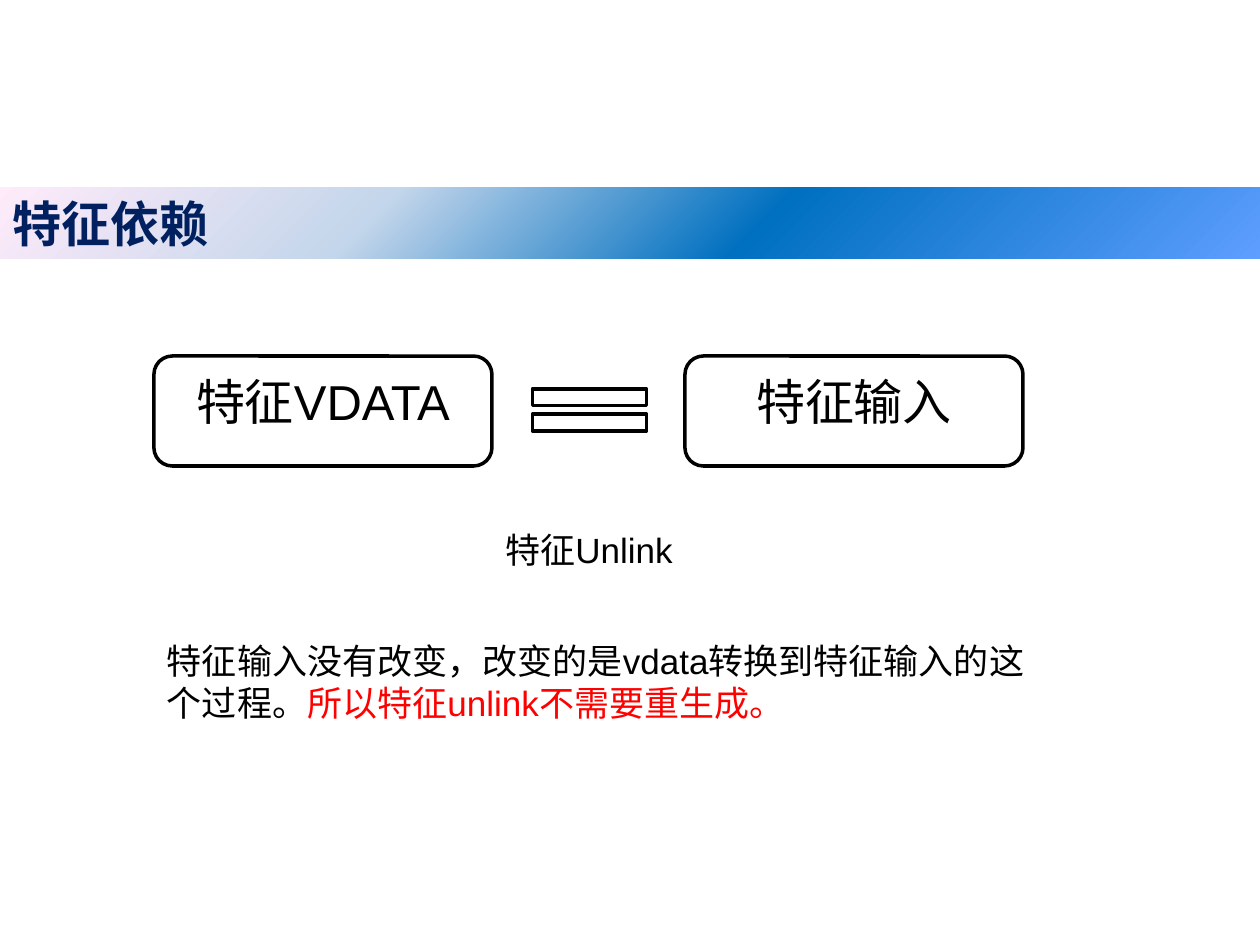
from dataclasses import dataclass

from lxml import etree
from pptx import Presentation
from pptx import util as u
from pptx.dml.color import RGBColor
from pptx.enum import shapes, text
from pptx.oxml import ns

PX = u.Inches(1) / 126
COLORS = {
    "paper": "FFFFFF", "ink": "000000", "navy": "002060", "alert": "FF0000",
    "sky": "5E9EFF", "blue": "0070C0", "mist": "C4D6EB", "blush": "FFEBFA",
}
BAND_STOPS = [(0, "sky"), (40, "blue"), (70, "mist"), (100, "blush")]
CJK = "Noto Sans CJK SC"
LEFT, CENTER = text.PP_ALIGN.LEFT, text.PP_ALIGN.CENTER
SHAPE = shapes.MSO_SHAPE


@dataclass
class Run:
    words: str
    size: int
    color: str = "ink"
    font: str = "Arial"
    bold: bool = False


@dataclass
class Block:
    """A text box, or a preset shape when kind is given; lengths in px."""
    left: int
    top: int
    width: int
    height: int
    runs: tuple[Run, ...] = ()
    kind: SHAPE | None = None
    align: text.PP_ALIGN = LEFT
    inset: tuple[int, int] = (13, 6)


def emu(px: int) -> u.Emu:
    return u.Emu(round(px * PX))


def rgb(name: str) -> RGBColor:
    return RGBColor.from_string(COLORS[name])


def write(frame, block: Block) -> None:
    side, edge = map(emu, block.inset)
    layout = {
        "word_wrap": True, "vertical_anchor": text.MSO_ANCHOR.TOP,
        "margin_left": side, "margin_right": side,
        "margin_top": edge, "margin_bottom": edge,
    }
    for key, value in layout.items():
        setattr(frame, key, value)
    paragraph = frame.paragraphs[0]
    paragraph.alignment = block.align
    for item in block.runs:
        run = paragraph.add_run()
        run.text = item.words
        style = {"size": u.Pt(item.size), "name": item.font, "bold": item.bold}
        for key, value in style.items():
            setattr(run.font, key, value)
        run.font.color.rgb = rgb(item.color)
        east_asian = etree.SubElement(run.font._element, ns.qn("a:ea"))
        east_asian.set("typeface", CJK)


def draw(slide, block: Block):
    place = [emu(v) for v in (block.left, block.top, block.width, block.height)]
    if block.kind is None:
        drawn = slide.shapes.add_textbox(*place)
    else:
        drawn = slide.shapes.add_shape(block.kind, *place)
        drawn.shadow.inherit = False
        drawn.fill.solid()
        drawn.fill.fore_color.rgb = rgb("paper")
        drawn.line.color.rgb = rgb("ink")
        drawn.line.width = u.Pt(2)
    if block.runs:
        write(drawn.text_frame, block)
    return drawn


def paint_band(band) -> None:
    band.line.fill.background()
    band.fill.gradient()
    band.fill.gradient_angle = 135  # counter-clockwise, 225 clockwise
    stops = band.fill._xPr.find(ns.qn("a:gradFill")).find(ns.qn("a:gsLst"))
    for old in list(stops):
        stops.remove(old)
    for percent, color in BAND_STOPS:
        stop = etree.SubElement(stops, ns.qn("a:gs"), pos=str(percent * 1000))
        etree.SubElement(stop, ns.qn("a:srgbClr"), val=COLORS[color])


def main() -> None:
    deck = Presentation()
    deck.slide_width, deck.slide_height = emu(1260), emu(945)
    slide = deck.slides.add_slide(deck.slide_layouts[6])

    # Title band
    heading = Run("特征依赖", 28, "navy", CJK, True)
    paint_band(draw(slide, Block(0, 187, 1260, 72, (heading,), SHAPE.RECTANGLE)))

    # Equation: two boxes around an equal sign
    for left, words in ((154, "特征VDATA"), (685, "特征输入")):
        draw(slide, Block(left, 356, 338, 110, (Run(words, 28),),
                          SHAPE.ROUNDED_RECTANGLE, CENTER, (10, 10)))
    draw(slide, Block(512, 374, 155, 72, kind=SHAPE.MATH_EQUAL))

    # Caption and conclusion
    draw(slide, Block(306, 522, 566, 55, (Run("特征Unlink", 20),), align=CENTER))
    draw(slide, Block(154, 633, 893, 97, (
        Run("特征输入没有改变，改变的是vdata转换到特征输入的这个过程。", 20),
        Run("所以特征unlink不需要重生成。", 20, "alert"),
    )))

    deck.save("out.pptx")


if __name__ == "__main__":
    main()
